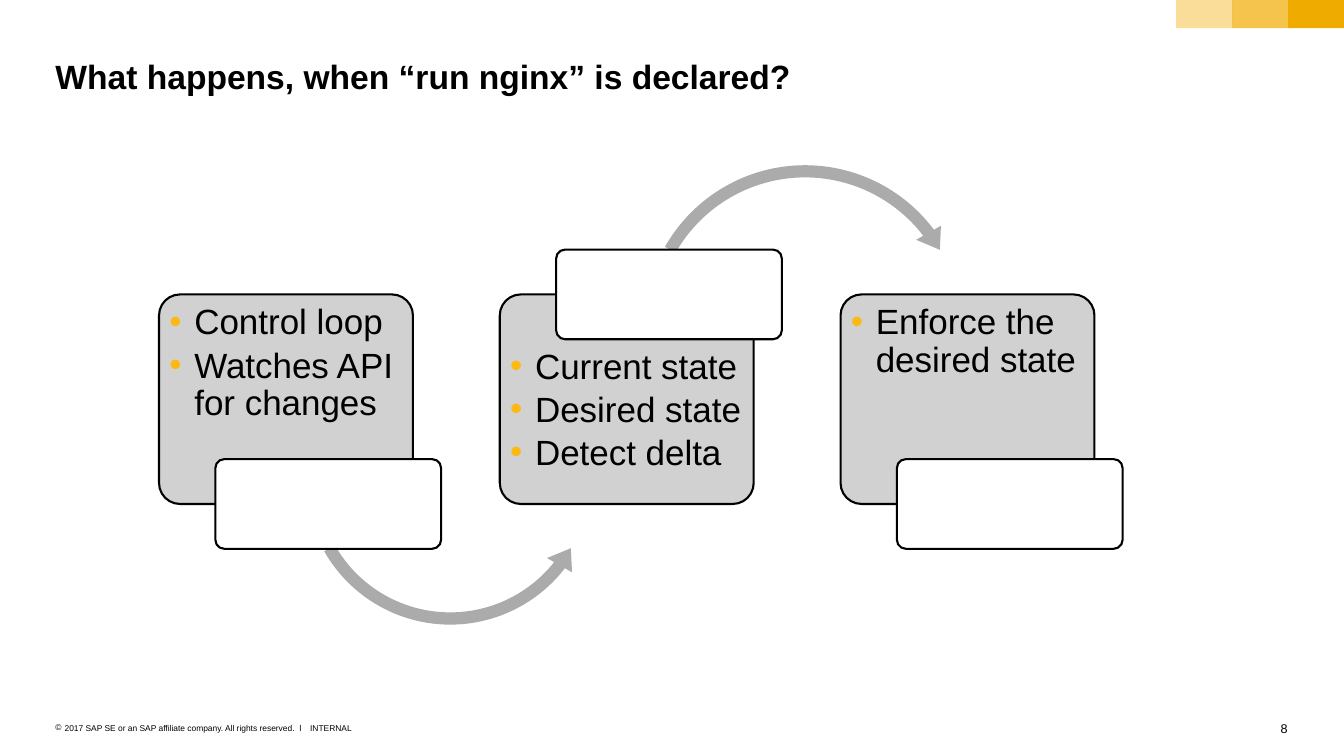
from dataclasses import dataclass
from typing import Optional

import lxml.etree
import pptx
import pptx.dml.color
import pptx.enum.shapes
import pptx.enum.text
import pptx.oxml.ns
import pptx.util

Cm = pptx.util.Cm
Pt = pptx.util.Pt
MSO = pptx.enum.shapes.MSO_SHAPE
ALIGN = pptx.enum.text.PP_ALIGN
qn = pptx.oxml.ns.qn


@dataclass(frozen=True)
class Theme:
    font: str = "Arial"
    black: str = "000000"
    white: str = "FFFFFF"
    gold: str = "F0AB00"
    bullet: str = "FDB913"
    panel: str = "CCCCCC"
    arrow: str = "ABABAB"
    title: float = 24
    body: float = 25
    page: float = 9
    footer: float = 6
    outline: float = 1.5


@dataclass(frozen=True)
class Box:
    left: float
    top: float
    width: float
    height: float

    def lengths(self) -> tuple:
        return Cm(self.left), Cm(self.top), Cm(self.width), Cm(self.height)


@dataclass(frozen=True)
class Arrow:
    shape: MSO
    box: Box
    adjustments: tuple


@dataclass(frozen=True)
class Step:
    bullets: tuple
    label_on_top: bool = False
    arrow: Optional[Arrow] = None


THEME = Theme()
SLIDE_W, SLIDE_H = 33.88, 19.05
MARGIN = 1.4
BAR_W, BAR_H = 1.41, 0.71
PANEL = Box(4.01, 7.42, 6.4, 5.28)
PANEL_STEP = 8.59
LABEL_DX, LABEL_W, LABEL_H = 1.42, 5.69, 2.26
TEXT_INSET, TEXT_H = 0.13, 3.91

STEPS = (
    Step(("Control loop", "Watches API for changes"),
         arrow=Arrow(MSO.LEFT_CIRCULAR_ARROW, Box(7.49, 8.23, 7.72, 7.72),
                     (0.04, 5.042, 22.797, 90.245, 0.047))),
    Step(("Current state", "Desired state", "Detect delta"), label_on_top=True,
         arrow=Arrow(MSO.CIRCULAR_ARROW, Box(16.03, 3.96, 8.53, 8.53),
                     (0.036, 4.518, 193.727, 125.755, 0.042))),
    Step(("Enforce the desired state",)),
)


def rgb(value: str) -> pptx.dml.color.RGBColor:
    return pptx.dml.color.RGBColor.from_string(value)


def add_bullet(p, char: str, color: str, indent: float) -> None:
    pPr = p._p.get_or_add_pPr()
    pPr.set("marL", str(Cm(indent)))
    pPr.set("indent", str(-Cm(indent)))
    clr = lxml.etree.SubElement(pPr, qn("a:buClr"))
    lxml.etree.SubElement(clr, qn("a:srgbClr"), val=color)
    lxml.etree.SubElement(pPr, qn("a:buFont"), typeface=THEME.font)
    lxml.etree.SubElement(pPr, qn("a:buChar"), char=char)


def add_text(slide, box: Box, *paragraphs: str, size: float, bold: bool = False,
             align=ALIGN.LEFT, wrap: bool = True, grow: bool = True,
             inset: float = 0, bullet: str = "", bullet_color: str = THEME.black,
             indent: float = 0, line_spacing: Optional[float] = None,
             space_after: float = 0) -> None:
    tf = slide.shapes.add_textbox(*box.lengths()).text_frame
    tf.word_wrap = wrap
    sizing = pptx.enum.text.MSO_AUTO_SIZE
    tf.auto_size = sizing.SHAPE_TO_FIT_TEXT if grow else sizing.NONE
    tf.margin_left = tf.margin_right = tf.margin_top = tf.margin_bottom = Cm(inset)
    for i, text in enumerate(paragraphs):
        p = tf.add_paragraph() if i else tf.paragraphs[0]
        if bullet:
            add_bullet(p, bullet, bullet_color, indent)
        p.alignment = align
        p.line_spacing = line_spacing
        p.space_after = Pt(space_after)
        r = p.add_run()
        r.text = text
        r.font.name = THEME.font
        r.font.size = Pt(size)
        r.font.bold = bold
        r.font.color.rgb = rgb(THEME.black)


def add_shape(slide, kind: MSO, box: Box, fill: str, *, opacity: int = 100,
              outlined: bool = False, adjustments: tuple = ()) -> None:
    sp = slide.shapes.add_shape(kind, *box.lengths())
    sp.shadow.inherit = False
    sp.fill.solid()
    sp.fill.fore_color.rgb = rgb(fill)
    if opacity < 100:
        clr = sp._element.spPr.find(qn("a:solidFill")).find(qn("a:srgbClr"))
        lxml.etree.SubElement(clr, qn("a:alpha"), val=str(opacity * 1000))
    if outlined:
        sp.line.color.rgb = rgb(THEME.black)
        sp.line.width = Pt(THEME.outline)
    else:
        sp.line.fill.background()
    for i, value in enumerate(adjustments):
        sp.adjustments[i] = value


def add_step(slide, index: int, step: Step) -> None:
    """Draw a panel, its bullets, the arrow to the next panel and the empty label."""
    left = PANEL.left + index * PANEL_STEP
    bottom = PANEL.top + PANEL.height
    panel = Box(left, PANEL.top, PANEL.width, PANEL.height)
    add_shape(slide, MSO.ROUNDED_RECTANGLE, panel, THEME.panel, opacity=90,
              outlined=True, adjustments=(0.1,))
    text_top = bottom - TEXT_INSET - TEXT_H if step.label_on_top else PANEL.top + TEXT_INSET
    text_box = Box(left + TEXT_INSET, text_top, PANEL.width - 2 * TEXT_INSET, TEXT_H)
    add_text(slide, text_box, *step.bullets, size=THEME.body, grow=False,
             inset=TEXT_INSET, bullet="•", bullet_color=THEME.bullet, indent=0.63,
             line_spacing=0.9, space_after=3.75)
    if step.arrow:
        add_shape(slide, step.arrow.shape, step.arrow.box, THEME.arrow,
                  adjustments=step.arrow.adjustments)
    edge = PANEL.top if step.label_on_top else bottom
    label = Box(left + LABEL_DX, edge - LABEL_H / 2, LABEL_W, LABEL_H)
    add_shape(slide, MSO.ROUNDED_RECTANGLE, label, THEME.white, outlined=True,
              adjustments=(0.1,))


def main() -> None:
    prs = pptx.Presentation()
    prs.slide_width, prs.slide_height = Cm(SLIDE_W), Cm(SLIDE_H)
    slide = prs.slides.add_slide(prs.slide_layouts[6])

    add_text(slide, Box(32.08, 18.16, 0.38, 0.38), "8", size=THEME.page,
             align=ALIGN.RIGHT, wrap=False)
    add_text(slide, Box(7.82, 18.21, 1.07, 0.25), "INTERNAL", size=THEME.footer, wrap=False)
    add_text(slide, Box(MARGIN, 18.21, 6.3, 0.25),
             "2017 SAP SE or an SAP affiliate company. All rights reserved.  ǀ",
             size=THEME.footer, bullet="©", indent=0.23)
    for i, opacity in enumerate((100, 70, 40), start=1):
        add_shape(slide, MSO.RECTANGLE, Box(SLIDE_W - i * BAR_W, 0, BAR_W, BAR_H),
                  THEME.gold, opacity=opacity)
    add_text(slide, Box(MARGIN, MARGIN, 31.06, 1.02),
             "What happens, when “run nginx” is declared?", size=THEME.title, bold=True)
    for i, step in enumerate(STEPS):
        add_step(slide, i, step)

    prs.save("out.pptx")


if __name__ == "__main__":
    main()
